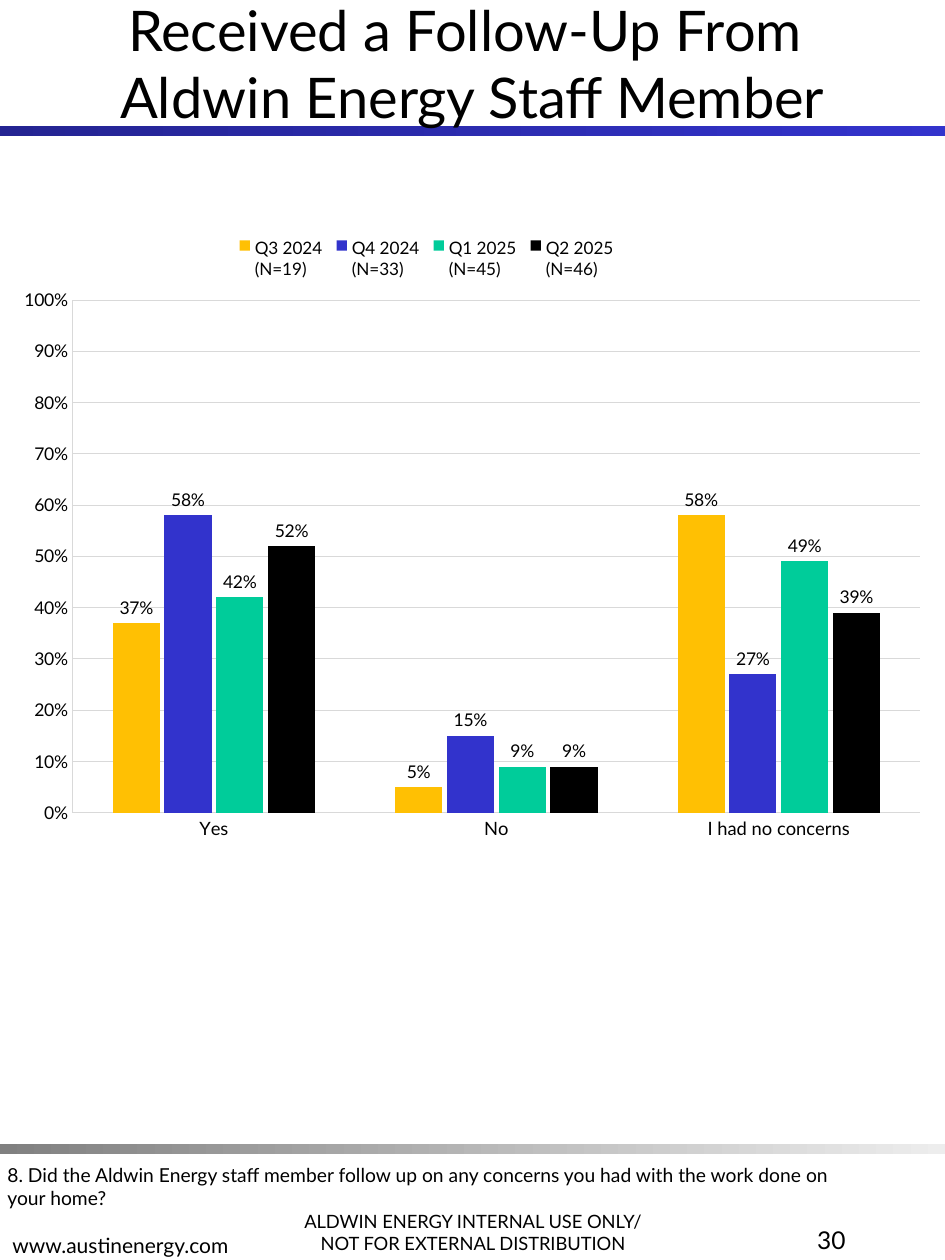
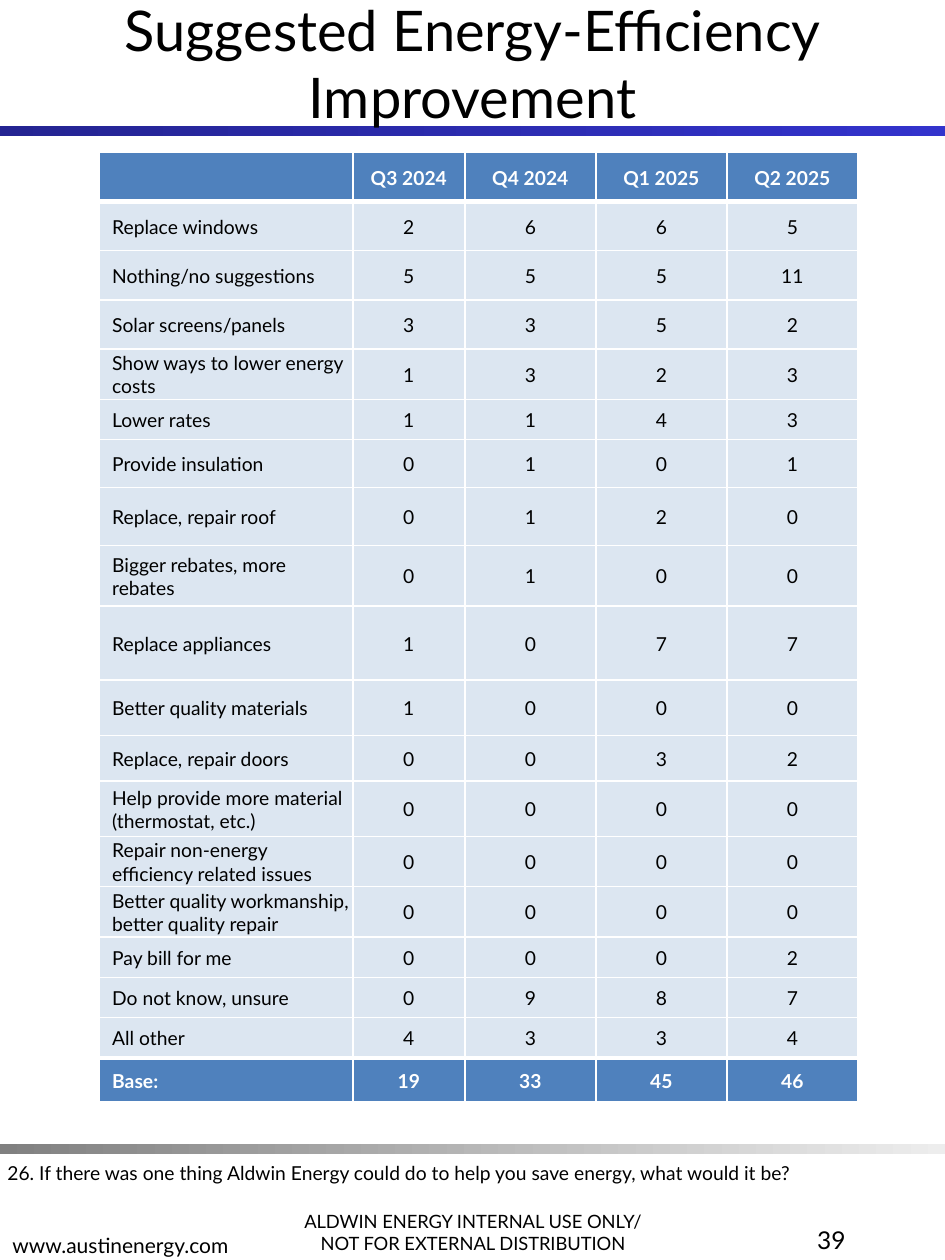
from dataclasses import dataclass
from typing import NamedTuple

from lxml.etree import SubElement as Sub
from pptx import Presentation
from pptx.chart.data import CategoryChartData as ChartData
from pptx.dml.color import RGBColor as RGB
from pptx.enum.chart import XL_CHART_TYPE as Kind
from pptx.enum.chart import XL_LABEL_POSITION as Spot
from pptx.enum.chart import XL_LEGEND_POSITION as Side
from pptx.enum.chart import XL_TICK_MARK as Tick
from pptx.enum.shapes import MSO_SHAPE as Shape
from pptx.enum.text import MSO_ANCHOR as Anchor
from pptx.enum.text import PP_ALIGN as Align
from pptx.oxml.ns import qn
from pptx.util import Inches, Pt


@dataclass(frozen=True)
class Theme:
    face: str = "Lato"
    ink: str = "000000"
    paper: str = "FFFFFF"
    head: str = "4F81BD"
    tint: str = "DCE6F1"
    grid: str = "D9D9D9"
    blue_band: tuple = ("242492", "3333CC")
    grey_band: tuple = ("808080", "EDEDED")
    bars: tuple = ("FFC003", "3233CC", "00CC9A", "000000")
    title: float = 32
    page: float = 14
    site: float = 12
    body: float = 11
    note: float = 10.5
    label: float = 10
    key: float = 9.8
    hair: float = 0.62


class Box(NamedTuple):
    x: float
    y: float
    w: float
    h: float

    def inner(self, x, y, w, h):
        """Box whose corner is offset from this one."""
        return Box(self.x + x, self.y + y, w, h)

    def place(self):
        return [Inches(n) for n in self]


LOOK = Theme()
PAGE = Box(0, 0, 7.5, 10)
SERIES = {
    "Q3 2024\n(N=19)": (0.37, 0.05, 0.58),
    "Q4 2024\n(N=33)": (0.58, 0.15, 0.27),
    "Q1 2025\n(N=45)": (0.42, 0.09, 0.49),
    "Q2 2025\n(N=46)": (0.52, 0.09, 0.39),
}
ANSWERS = ("Yes", "No", "I had no concerns")
COLS = (2.01, 0.89, 1.04, 1.04, 1.04)
ROWS = (  # height, label, counts by quarter
    (0.39, "", ("Q3 2024", "Q4 2024", "Q1 2025", "Q2 2025")),
    (0.39, "Replace windows", (2, 6, 6, 5)),
    (0.39, "Nothing/no suggestions", (5, 5, 5, 11)),
    (0.39, "Solar screens/panels", (3, 3, 5, 2)),
    (0.40, "Show ways to lower energy costs", (1, 3, 2, 3)),
    (0.32, "Lower rates", (1, 1, 4, 3)),
    (0.38, "Provide insulation", (0, 1, 0, 1)),
    (0.46, "Replace, repair roof", (0, 1, 2, 0)),
    (0.48, "Bigger rebates, more rebates", (0, 1, 0, 0)),
    (0.59, "Replace appliances", (1, 0, 7, 7)),
    (0.44, "Better quality materials", (1, 0, 0, 0)),
    (0.36, "Replace, repair doors", (0, 0, 3, 2)),
    (0.44, "Help provide more material (thermostat, etc.)", (0, 0, 0, 0)),
    (0.40, "Repair non-energy efficiency related issues", (0, 0, 0, 0)),
    (0.40, "Better quality workmanship, better quality repair", (0, 0, 0, 0)),
    (0.32, "Pay bill for me", (0, 0, 0, 2)),
    (0.32, "Do not know, unsure", (0, 9, 8, 7)),
    (0.32, "All other", (4, 3, 3, 4)),
    (0.35, "Base:", (19, 33, 45, 46)),
)


def put(item, **vals):
    for name, val in vals.items():
        setattr(item, name, val)


def style(font, size, color=LOOK.ink, bold=False):
    put(font, name=LOOK.face, size=Pt(size), bold=bold)
    font.color.rgb = RGB.from_string(color)


def add_text(slide, box, text, size, align=Align.LEFT, anchor=Anchor.TOP):
    frame = slide.shapes.add_textbox(*box.place()).text_frame
    put(frame, word_wrap=True, vertical_anchor=anchor, text=text)
    for para in frame.paragraphs:
        para.alignment = align
        for run in para.runs:
            style(run.font, size)


def add_band(slide, box, colors):
    band = slide.shapes.add_shape(Shape.RECTANGLE, *box.place())
    band.shadow.inherit = False
    band.line.fill.background()
    band.fill.gradient()
    band.fill.gradient_angle = 0
    for stop, color in zip(band.fill.gradient_stops, colors):
        stop.color.rgb = RGB.from_string(color)


def add_header(slide, box, title):
    add_band(slide, box.inner(0, 1, box.w, 0.08), LOOK.blue_band)
    add_text(slide, box.inner(0, 0, box.w, 1), title, LOOK.title,
             Align.CENTER, Anchor.MIDDLE)


def add_footer(slide, box, question, drop, number):
    """Footer below the grey band; drop is the offset of the question."""
    add_band(slide, box.inner(0, 0, box.w, 0.08), LOOK.grey_band)
    add_text(slide, box.inner(2.16, 0.25, 3.19, 0.67),
             "ALDWIN ENERGY INTERNAL USE ONLY/\nNOT FOR EXTERNAL DISTRIBUTION",
             LOOK.note, Align.CENTER, Anchor.BOTTOM)
    add_text(slide, box.inner(0, 0.28, 3.19, 0.67), "www.austinenergy.com",
             LOOK.site, anchor=Anchor.BOTTOM)
    add_text(slide, box.inner(5.25, 0.59, 1.56, 0.33), str(number),
             LOOK.page, Align.RIGHT)
    add_text(slide, box.inner(-0.04, drop, 6.85, 0.47), question, LOOK.body)


def set_layout(parent, index, spots, inner=False):
    """Fix the place of a chart region as shares of the chart area."""
    for old in parent.findall(qn("c:layout")):
        parent.remove(old)
    layout = parent.makeelement(qn("c:layout"))
    parent.insert(index, layout)
    manual = Sub(layout, qn("c:manualLayout"))
    if inner:
        Sub(manual, qn("c:layoutTarget"), val="inner")
    for name in ("xMode", "yMode"):
        Sub(manual, qn(f"c:{name}"), val="edge")
    for name, val in zip("xywh", spots):
        Sub(manual, qn(f"c:{name}"), val=str(val))


def draw_line(line, width=LOOK.hair):
    line.color.rgb = RGB.from_string(LOOK.grid)
    line.width = Pt(width)


def add_bars(slide, box):
    data = ChartData(number_format="0%")
    data.categories = ANSWERS
    for name, vals in SERIES.items():
        data.add_series(name, vals)
    chart = slide.shapes.add_chart(
        Kind.COLUMN_CLUSTERED, *box.place(), data).chart
    style(chart.font, LOOK.label)
    put(chart, has_title=False, has_legend=True)

    put(chart.legend, position=Side.TOP, include_in_layout=False)
    style(chart.legend.font, LOOK.key)

    across, up = chart.category_axis, chart.value_axis
    put(up, minimum_scale=0, maximum_scale=1, major_unit=0.1,
        has_major_gridlines=True)
    put(up.tick_labels, number_format="0%", number_format_is_linked=False)
    draw_line(up.major_gridlines.format.line)
    for axis, size, width in ((across, LOOK.note, LOOK.hair),
                              (up, LOOK.label, 0.41)):
        put(axis, major_tick_mark=Tick.NONE, minor_tick_mark=Tick.NONE)
        style(axis.tick_labels.font, size)
        draw_line(axis.format.line, width)

    plot = chart.plots[0]
    put(plot, gap_width=170, overlap=-10, vary_by_categories=False)
    for series, color in zip(plot.series, LOOK.bars):
        series.format.fill.solid()
        series.format.fill.fore_color.rgb = RGB.from_string(color)
        labels = series.data_labels
        put(labels, show_value=True, position=Spot.OUTSIDE_END,
            number_format="0%", number_format_is_linked=False)
        style(labels.font, LOOK.label)

    root = chart.element
    set_layout(root.xpath("c:chart/c:plotArea")[0], 0,
               (0.07, 0.15, 0.91, 0.79), inner=True)
    set_layout(root.xpath("c:chart/c:legend")[0], 1,
               (0.24, 0.04, 0.42, 0.09))


def add_edges(cell, top, bottom):
    props = cell._tc.get_or_add_tcPr()
    for side, width in zip("LRTB", (1, 1, top, bottom)):
        line = Sub(props, qn(f"a:ln{side}"), w=str(Pt(width)))
        fill = Sub(line, qn("a:solidFill"))
        Sub(fill, qn("a:srgbClr"), val=LOOK.paper)


def fill_cell(cell, text, first, strong):
    """First marks the label column, strong the head and base rows."""
    put(cell, text=text, vertical_anchor=Anchor.MIDDLE,
        margin_left=Inches(0.1 if first else 0.01),
        margin_right=Inches(0.01), margin_top=Inches(0.01), margin_bottom=0)
    cell.fill.solid()
    cell.fill.fore_color.rgb = RGB.from_string(
        LOOK.head if strong else LOOK.tint)
    para = cell.text_frame.paragraphs[0]
    para.alignment = Align.LEFT if first else Align.CENTER
    for run in para.runs:
        style(run.font, LOOK.body, LOOK.paper if strong else LOOK.ink, strong)


def add_counts(slide, box):
    table = slide.shapes.add_table(len(ROWS), len(COLS), *box.place()).table
    put(table, first_row=False, horz_banding=False)
    for col, width in zip(table.columns, COLS):
        col.width = Inches(width)
    last = len(ROWS) - 1
    for r, (height, label, counts) in enumerate(ROWS):
        table.rows[r].height = Inches(height)
        for c, text in enumerate((label, *counts)):
            cell = table.cell(r, c)
            add_edges(cell, 3 if r in (1, last) else 1,
                      3 if r in (0, last - 1) else 1)
            fill_cell(cell, str(text), c == 0, r in (0, last))


def add_page(deck, title, question, drop, number):
    slide = deck.slides.add_slide(deck.slide_layouts[6])
    add_header(slide, PAGE.inner(0, 0, PAGE.w, 1.08), title)
    add_footer(slide, PAGE.inner(0, 9.08, PAGE.w, 0.92),
               question, drop, number)
    return slide


def main():
    deck = Presentation()
    put(deck, slide_width=Inches(PAGE.w), slide_height=Inches(PAGE.h))
    slide = add_page(
        deck, "Received a Follow-Up From \vAldwin Energy Staff Member",
        "8. Did the Aldwin Energy staff member follow up on any concerns "
        "you had with the work done on your home?", 0.1, 30)
    add_bars(slide, PAGE.inner(0.06, 1.61, 7.39, 5.15))
    slide = add_page(
        deck, "Suggested Energy-Efficiency Improvement",
        "26. If there was one thing Aldwin Energy could do to help you "
        "save energy, what would it be?", 0.09, 39)
    add_counts(slide, PAGE.inner(0.79, 1.21, sum(COLS), 7.54))
    deck.save("out.pptx")


if __name__ == "__main__":
    main()
